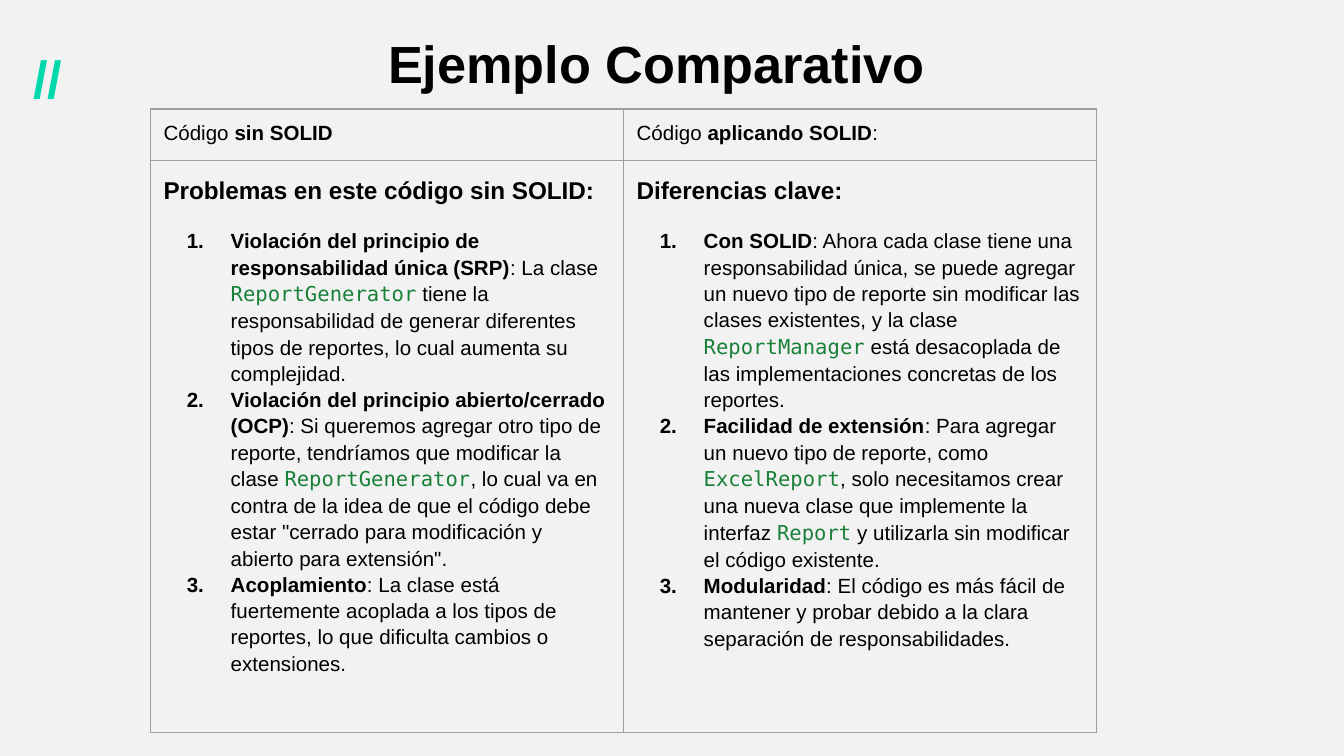
"""Build a slide that compares code with and without SOLID in a table."""
from lxml.etree import SubElement
from pptx import Presentation
from pptx.dml.color import RGBColor
from pptx.enum.text import PP_ALIGN
from pptx.oxml.ns import qn
from pptx.util import Cm, Pt

COLORS = {"back": "F2F2F2", "mark": "00D9AC", "text": "000000",
          "code": "188038", "line": "9E9E9E"}
FONTS = {"text": "Arial", "code": "DejaVu Sans Mono"}

TITLE = "Ejemplo Comparativo"
MARK = "//"
SIDES = [
    {
        "label": [("Código ", ""), ("sin SOLID", "bold")],
        "head": "Problemas en este código sin SOLID:",
        "items": [
            [("Violación del principio de responsabilidad única (SRP)", "bold"),
             (": La clase ", ""), ("ReportGenerator", "code"),
             (" tiene la responsabilidad de generar diferentes tipos de "
              "reportes, lo cual aumenta su complejidad.", "")],
            [("Violación del principio abierto/cerrado (OCP)", "bold"),
             (": Si queremos agregar otro tipo de reporte, tendríamos que "
              "modificar la clase ", ""), ("ReportGenerator", "code"),
             (", lo cual va en contra de la idea de que el código debe estar "
              "\"cerrado para modificación y abierto para extensión\".", "")],
            [("Acoplamiento", "bold"),
             (": La clase está fuertemente acoplada a los tipos de reportes, "
              "lo que dificulta cambios o extensiones.", "")],
        ],
    },
    {
        "label": [("Código ", ""), ("aplicando SOLID", "bold"), (":", "")],
        "head": "Diferencias clave:",
        "items": [
            [("Con SOLID", "bold"),
             (": Ahora cada clase tiene una responsabilidad única, se puede "
              "agregar un nuevo tipo de reporte sin modificar las clases "
              "existentes, y la clase ", ""), ("ReportManager", "code"),
             (" está desacoplada de las implementaciones concretas de los "
              "reportes.", "")],
            [("Facilidad de extensión", "bold"),
             (": Para agregar un nuevo tipo de reporte, como ", ""),
             ("ExcelReport", "code"),
             (", solo necesitamos crear una nueva clase que implemente la "
              "interfaz ", ""), ("Report", "code"),
             (" y utilizarla sin modificar el código existente.", "")],
            [("Modularidad", "bold"),
             (": El código es más fácil de mantener y probar debido a la "
              "clara separación de responsabilidades.", "")],
        ],
    },
]


def write(par, text, size=11, color="text", font="text", bold=False):
    run = par.add_run()
    run.text = text
    run.font.size = Pt(size)
    run.font.name = FONTS[font]
    run.font.bold = bold
    run.font.color.rgb = RGBColor.from_string(COLORS[color])


def write_mix(par, parts):
    for text, style in parts:
        kind = "code" if style == "code" else "text"
        write(par, text, color=kind, font=kind, bold=style == "bold")


def add_box(slide, left, top, width, height, pad):
    frame = slide.shapes.add_textbox(
        Cm(left), Cm(top), Cm(width), Cm(height)).text_frame
    frame.word_wrap = True
    frame.margin_left = frame.margin_right = Cm(0.25)
    frame.margin_top = frame.margin_bottom = Cm(pad)
    return frame.paragraphs[0]


def paint(parent, color):
    fill = SubElement(parent, qn("a:solidFill"))
    SubElement(fill, qn("a:srgbClr"), val=COLORS[color])


def number(par):
    props = par._p.get_or_add_pPr()
    props.set("marL", str(Cm(1.27)))
    props.set("indent", str(-Cm(0.83)))
    tint = SubElement(props, qn("a:buClr"))
    SubElement(tint, qn("a:srgbClr"), val=COLORS["text"])
    SubElement(props, qn("a:buFont"), typeface=FONTS["text"])
    SubElement(props, qn("a:buAutoNum"), type="arabicPeriod")


def frame_cell(cell):
    props = cell._tc.get_or_add_tcPr()
    for side in "LRTB":
        paint(SubElement(props, qn(f"a:ln{side}"), w=str(Pt(0.75))), "line")
    cell.fill.background()
    cell.margin_left = cell.margin_right = Cm(0.25)
    cell.margin_top = cell.margin_bottom = Cm(0.25)


def fill_body(frame, side):
    head = frame.paragraphs[0]
    head.line_spacing = 1.15
    write(head, side["head"], size=13, bold=True)
    for index, parts in enumerate(side["items"]):
        par = frame.add_paragraph()
        number(par)
        par.line_spacing = 1.15
        par.space_before = Pt(0 if index else 12)
        write_mix(par, parts)


def add_grid(slide):
    grid = slide.shapes.add_table(
        2, len(SIDES), Cm(2.84), Cm(2.06), Cm(17.88), Cm(11.67)).table
    grid.first_row = grid.horz_banding = False
    grid.rows[0].height, grid.rows[1].height = Cm(0.85), Cm(10.82)
    for col, side in enumerate(SIDES):
        grid.columns[col].width = Cm(8.94)
        label, body = grid.cell(0, col), grid.cell(1, col)
        frame_cell(label)
        frame_cell(body)
        write_mix(label.text_frame.paragraphs[0], side["label"])
        fill_body(body.text_frame, side)


def main():
    deck = Presentation()
    deck.slide_width, deck.slide_height = Cm(25.4), Cm(14.29)
    slide = deck.slides.add_slide(deck.slide_layouts[6])
    back = slide.background.fill
    back.solid()
    back.fore_color.rgb = RGBColor.from_string(COLORS["back"])

    mark = add_box(slide, 0.38, 0.74, 1.4, 1.45, 0.13)
    write(mark, MARK, size=28, color="mark", bold=True)
    title = add_box(slide, 1.7, 0.25, 21.41, 2.49, 0.35)
    title.alignment = PP_ALIGN.CENTER
    write(title, TITLE, size=28, bold=True)
    add_grid(slide)
    deck.save("out.pptx")


if __name__ == "__main__":
    main()
